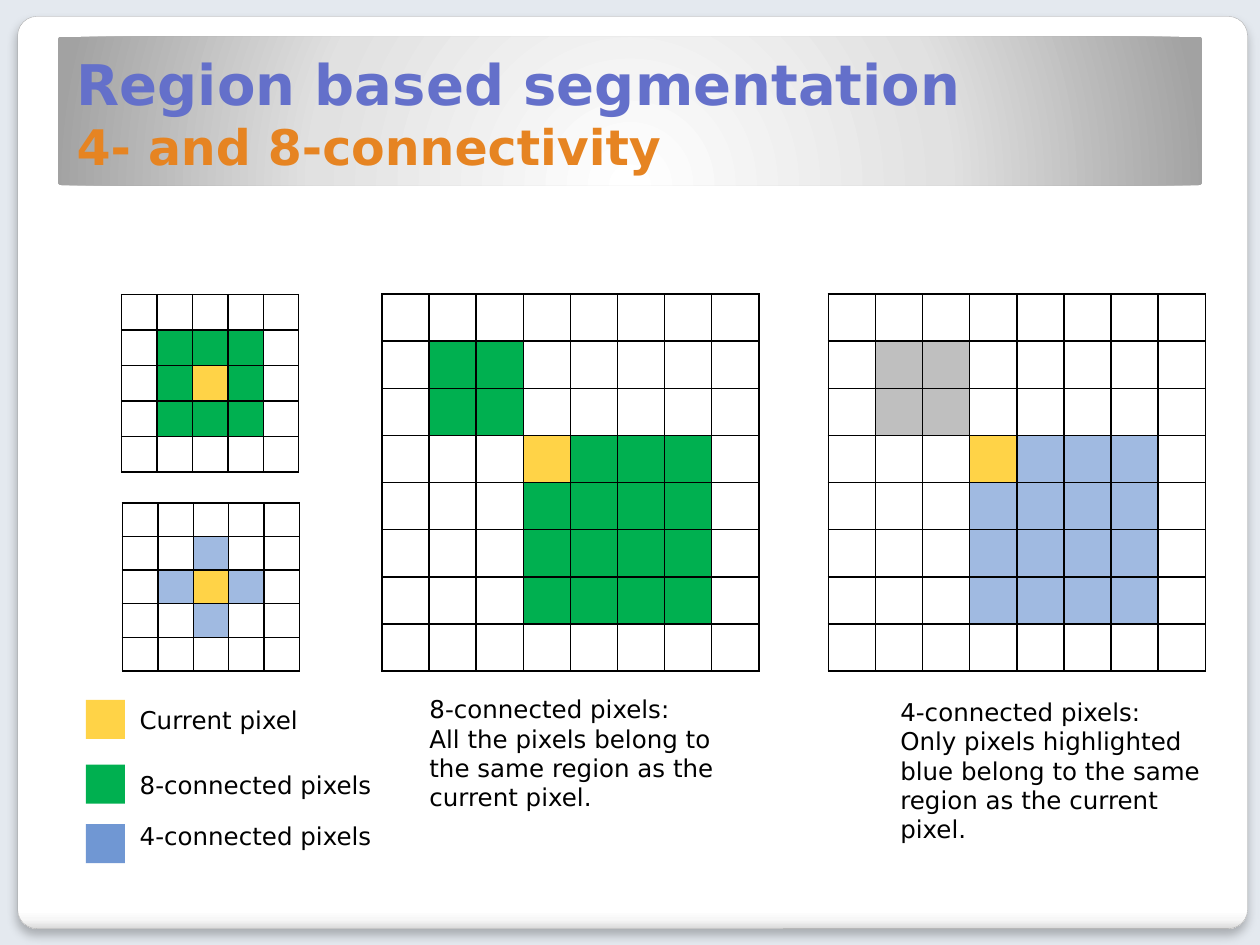
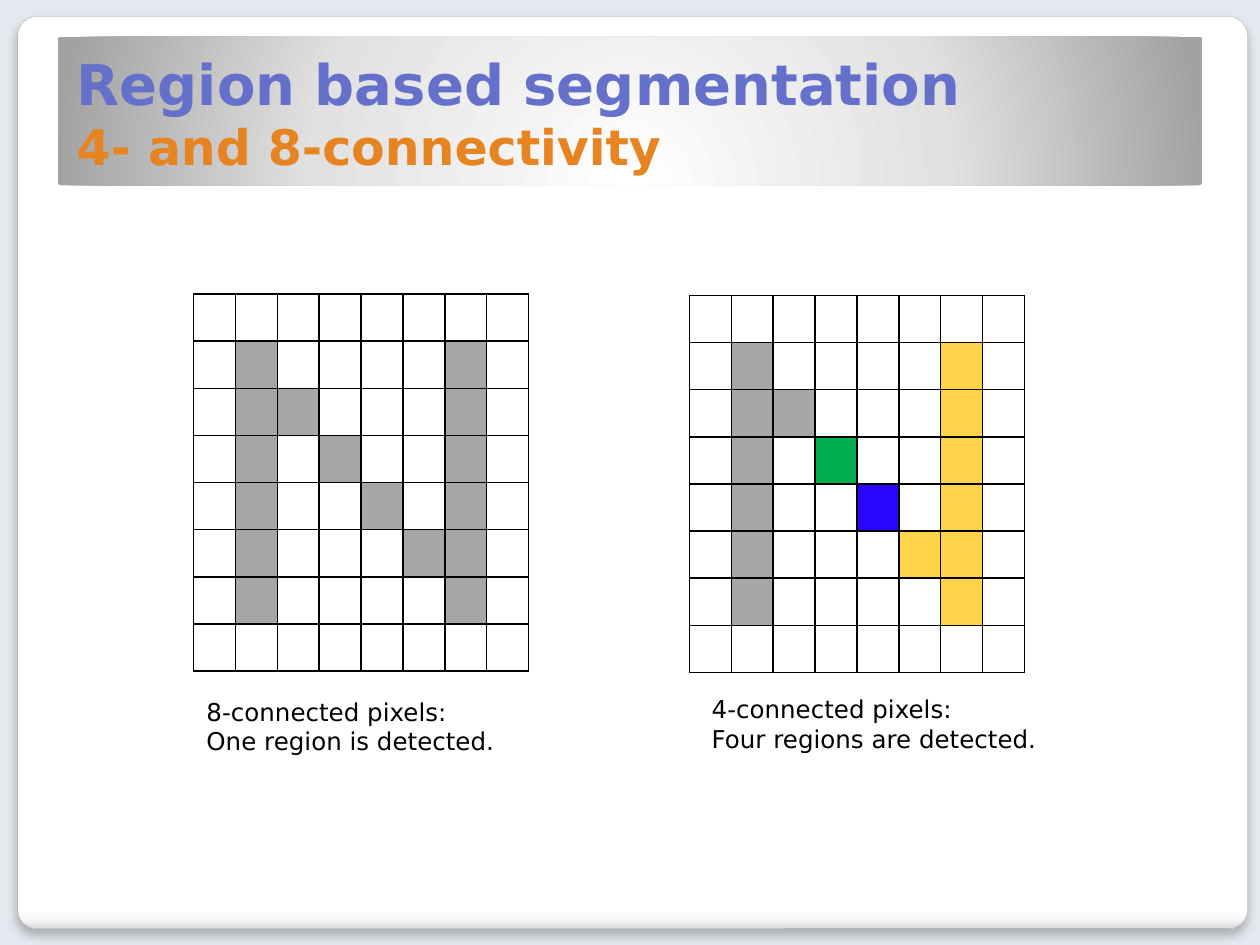
from dataclasses import dataclass

from lxml import etree
from pptx import Presentation
from pptx.dml.color import RGBColor
from pptx.enum.shapes import MSO_SHAPE
from pptx.enum.text import MSO_ANCHOR, MSO_AUTO_SIZE
from pptx.oxml.ns import qn
from pptx.shapes.autoshape import Shape
from pptx.slide import Slide
from pptx.table import _Cell
from pptx.util import Pt

RECTANGLE = MSO_SHAPE.RECTANGLE
ROUNDED = MSO_SHAPE.ROUNDED_RECTANGLE
BOTTOM = MSO_ANCHOR.BOTTOM
FIT_TEXT = MSO_AUTO_SIZE.SHAPE_TO_FIT_TEXT
BORDER_SIDES = ("a:lnL", "a:lnR", "a:lnT", "a:lnB")


@dataclass(frozen=True)
class Theme:
    font: str = "DejaVu Sans"
    title_size: float = 32
    subtitle_size: float = 28
    body_size: float = 14
    cell_size: float = 8
    border_width: float = 1
    panel_line_width: float = 0.16
    corner: float = 0.021
    background: str = "E4E9EF"
    panel_line: str = "A4A4A4"
    title: str = "6470CA"
    subtitle: str = "E68422"
    black: str = "000000"
    current: str = "FFD347"
    green: str = "00B050"
    pale_blue: str = "A0BAE1"
    legend_blue: str = "7097D3"
    deep_blue: str = "2905FF"
    light_grey: str = "BFBFBF"
    grey: str = "A6A6A6"
    panel_stops: tuple = ((0, "FFFFFF"), (98, "FFFFFF"), (99, "F7F7F7"), (100, "DADADA"))
    band_stops: tuple = ((0, "FFFFFF"), (55, "E1E1E1"), (100, "A2A2A2"))


THEME = Theme()


@dataclass(frozen=True)
class Box:
    left: float
    top: float
    width: float
    height: float

    def lengths(self) -> tuple:
        return Pt(self.left), Pt(self.top), Pt(self.width), Pt(self.height)


@dataclass(frozen=True)
class PixelGrid:
    left: float
    top: float
    cell_width: float
    cell_height: float
    pattern: tuple
    colours: dict


@dataclass(frozen=True)
class Caption:
    box: Box
    lines: tuple
    wrap: bool = True


@dataclass(frozen=True)
class LegendEntry:
    swatch_top: float
    label_top: float
    label_width: float
    label: str
    colour: str


PANEL = Box(10.1, 9.4, 702.8, 521.3)
TITLE_BAND = Box(33.1, 20.9, 653.8, 85)
TITLE_BOX = Box(36.7, 20.9, 644.4, 82.8)
SWATCH_LEFT, SWATCH_SIDE = 49, 22.3
LABEL_LEFT, LABEL_HEIGHT = 72.7, 24.5

EIGHT_NEIGHBOURS = (".....", ".nnn.", ".ncn.", ".nnn.", ".....")
FOUR_NEIGHBOURS = (".....", "..n..", ".ncn.", "..n..", ".....")
TOUCHING_BLOCKS = (
    "........",
    *(".ss.....",) * 2,
    "...cnnn.",
    *("...nnnn.",) * 3,
    "........",
)
LETTER_N = (
    "........",
    ".l....r.",
    ".ll...r.",
    ".l.u..r.",
    ".l..d.r.",
    ".l...rr.",
    ".l....r.",
    "........",
)

CONNECTIVITY_GRIDS = (
    PixelGrid(69.5, 168.4, 20.25, 20.25, EIGHT_NEIGHBOURS,
              {"n": THEME.green, "c": THEME.current}),
    PixelGrid(70, 287.4, 20.25, 19.2, FOUR_NEIGHBOURS,
              {"n": THEME.pale_blue, "c": THEME.current}),
    PixelGrid(218.2, 168, 26.93, 26.93, TOUCHING_BLOCKS,
              {"n": THEME.green, "s": THEME.green, "c": THEME.current}),
    PixelGrid(473.3, 168, 26.93, 26.93, TOUCHING_BLOCKS,
              {"n": THEME.pale_blue, "s": THEME.light_grey, "c": THEME.current}),
)
CONNECTIVITY_CAPTIONS = (
    Caption(Box(238.3, 393.1, 184.3, 74.9),
            ("8-connected pixels:",
             "All the pixels belong to the same region as the current pixel.")),
    Caption(Box(507.4, 394.6, 187.2, 92.2),
            ("4-connected pixels:",
             "Only pixels highlighted blue belong to the same region as the current pixel.")),
)
LEGEND = (
    LegendEntry(400, 399.6, 106.6, "Current pixel", THEME.current),
    LegendEntry(437, 436.3, 147.6, "8-connected pixels", THEME.green),
    LegendEntry(470.9, 465.8, 147.6, "4-connected pixels", THEME.legend_blue),
)

REGION_GRIDS = (
    PixelGrid(110.6, 168, 23.94, 26.93, LETTER_N, dict.fromkeys("ludr", THEME.grey)),
    PixelGrid(394, 168.8, 23.94, 26.93, LETTER_N,
              {"l": THEME.grey, "u": THEME.green, "d": THEME.deep_blue, "r": THEME.current}),
)
REGION_CAPTIONS = (
    Caption(Box(110.9, 394.6, 200.9, 41), ("8-connected pixels:", "One region is detected.")),
    Caption(Box(399.6, 393.1, 213.1, 41), ("4-connected pixels:", "Four regions are detected.")),
)


def add_colour(parent: etree._Element, colour: str) -> etree._Element:
    return etree.SubElement(parent, qn("a:srgbClr"), val=colour)


def add_block(slide: Slide, kind: MSO_SHAPE, box: Box) -> Shape:
    block = slide.shapes.add_shape(kind, *box.lengths())
    block.shadow.inherit = False
    block.line.fill.background()
    return block


def set_gradient(block: Shape, stops: tuple) -> etree._Element:
    block.fill.gradient()
    gradient = block._element.spPr.find(qn("a:gradFill"))
    gradient.clear()
    stop_list = etree.SubElement(gradient, qn("a:gsLst"))
    for position, colour in stops:
        stop = etree.SubElement(stop_list, qn("a:gs"), pos=str(position * 1000))
        add_colour(stop, colour)
    return gradient


def add_run(paragraph, text: str, size: float, colour: str, bold: bool = False) -> None:
    run = paragraph.add_run()
    run.text = text
    run.font.name = THEME.font
    run.font.size = Pt(size)
    run.font.bold = bold
    run.font.color.rgb = RGBColor.from_string(colour)


def draw_panel(slide: Slide) -> None:
    panel = add_block(slide, ROUNDED, PANEL)
    panel.adjustments[0] = THEME.corner
    gradient = set_gradient(panel, THEME.panel_stops)
    etree.SubElement(gradient, qn("a:lin"), ang="5400000", scaled="0")
    panel.line.color.rgb = RGBColor.from_string(THEME.panel_line)
    panel.line.width = Pt(THEME.panel_line_width)
    effects = panel._element.spPr.find(qn("a:effectLst"))
    shadow = etree.SubElement(effects, qn("a:outerShdw"), blurRad=str(Pt(6)),
                              dist=str(Pt(4)), dir="5400000", rotWithShape="0")
    etree.SubElement(add_colour(shadow, THEME.black), qn("a:alpha"), val="25000")


def draw_title(slide: Slide) -> None:
    band = add_block(slide, ROUNDED, TITLE_BAND)
    band.adjustments[0] = THEME.corner
    gradient = set_gradient(band, THEME.band_stops)
    glow = etree.SubElement(gradient, qn("a:path"), path="circle")
    etree.SubElement(glow, qn("a:fillToRect"), l="50000", t="175000", r="50000", b="-75000")
    frame = slide.shapes.add_textbox(*TITLE_BOX.lengths()).text_frame
    frame.word_wrap = True
    frame.vertical_anchor = BOTTOM
    heading = frame.paragraphs[0]
    add_run(heading, "Region based segmentation", THEME.title_size, THEME.title, True)
    heading.add_line_break()
    add_run(heading, "4- and 8-connectivity", THEME.subtitle_size, THEME.subtitle, True)


def style_pixel(cell: _Cell, colour: str | None) -> None:
    cell.margin_left = cell.margin_right = cell.margin_top = cell.margin_bottom = 0
    paragraph = cell.text_frame.paragraphs[0]._p
    etree.SubElement(paragraph, qn("a:endParaRPr"), sz=str(THEME.cell_size * 100))
    properties = cell._tc.get_or_add_tcPr()
    for side in BORDER_SIDES:
        border = etree.SubElement(properties, qn(side), w=str(Pt(THEME.border_width)))
        add_colour(etree.SubElement(border, qn("a:solidFill")), THEME.black)
    if colour is None:
        cell.fill.background()
    else:
        cell.fill.solid()
        cell.fill.fore_color.rgb = RGBColor.from_string(colour)


def draw_grid(slide: Slide, grid: PixelGrid) -> None:
    rows, columns = len(grid.pattern), len(grid.pattern[0])
    box = Box(grid.left, grid.top, columns * grid.cell_width, rows * grid.cell_height)
    table = slide.shapes.add_table(rows, columns, *box.lengths()).table
    table.first_row = table.horz_banding = False
    for column in table.columns:
        column.width = Pt(grid.cell_width)
    for row, marks in zip(table.rows, grid.pattern):
        row.height = Pt(grid.cell_height)
        for cell, mark in zip(row.cells, marks):
            style_pixel(cell, grid.colours.get(mark))


def draw_caption(slide: Slide, caption: Caption) -> None:
    frame = slide.shapes.add_textbox(*caption.box.lengths()).text_frame
    frame.word_wrap = caption.wrap
    frame.auto_size = FIT_TEXT
    for index, line in enumerate(caption.lines):
        paragraph = frame.add_paragraph() if index else frame.paragraphs[0]
        add_run(paragraph, line, THEME.body_size, THEME.black)


def draw_legend_entry(slide: Slide, entry: LegendEntry) -> None:
    swatch = add_block(slide, RECTANGLE,
                       Box(SWATCH_LEFT, entry.swatch_top, SWATCH_SIDE, SWATCH_SIDE))
    swatch.fill.solid()
    swatch.fill.fore_color.rgb = RGBColor.from_string(entry.colour)
    label_box = Box(LABEL_LEFT, entry.label_top, entry.label_width, LABEL_HEIGHT)
    draw_caption(slide, Caption(label_box, (entry.label,), wrap=False))


def build_slide(deck, grids: tuple, captions: tuple, legend: tuple = ()) -> None:
    slide = deck.slides.add_slide(deck.slide_layouts[6])
    slide.background.fill.solid()
    slide.background.fill.fore_color.rgb = RGBColor.from_string(THEME.background)
    draw_panel(slide)
    draw_title(slide)
    for grid in grids:
        draw_grid(slide, grid)
    for caption in captions:
        draw_caption(slide, caption)
    for entry in legend:
        draw_legend_entry(slide, entry)


def main() -> None:
    deck = Presentation()
    deck.slide_width, deck.slide_height = Pt(720), Pt(540)
    build_slide(deck, CONNECTIVITY_GRIDS, CONNECTIVITY_CAPTIONS, LEGEND)
    build_slide(deck, REGION_GRIDS, REGION_CAPTIONS)
    deck.save("out.pptx")


if __name__ == "__main__":
    main()
